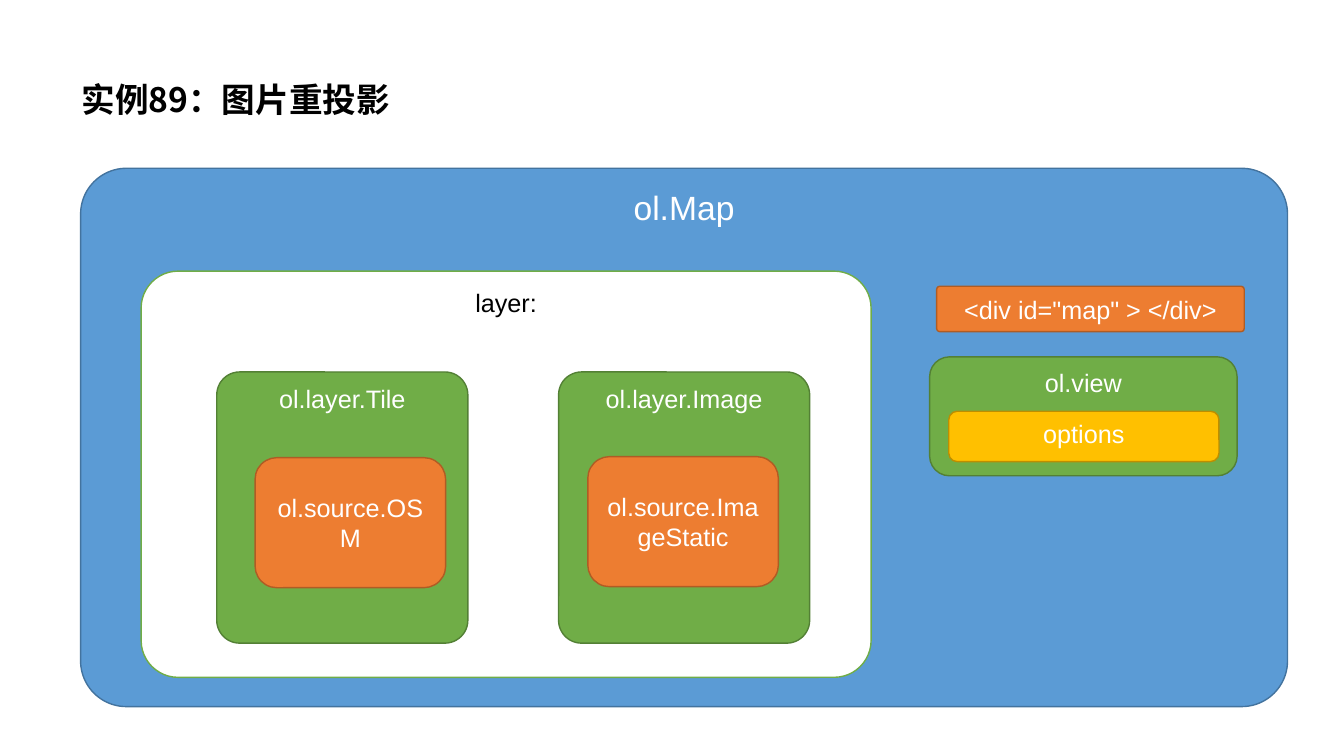
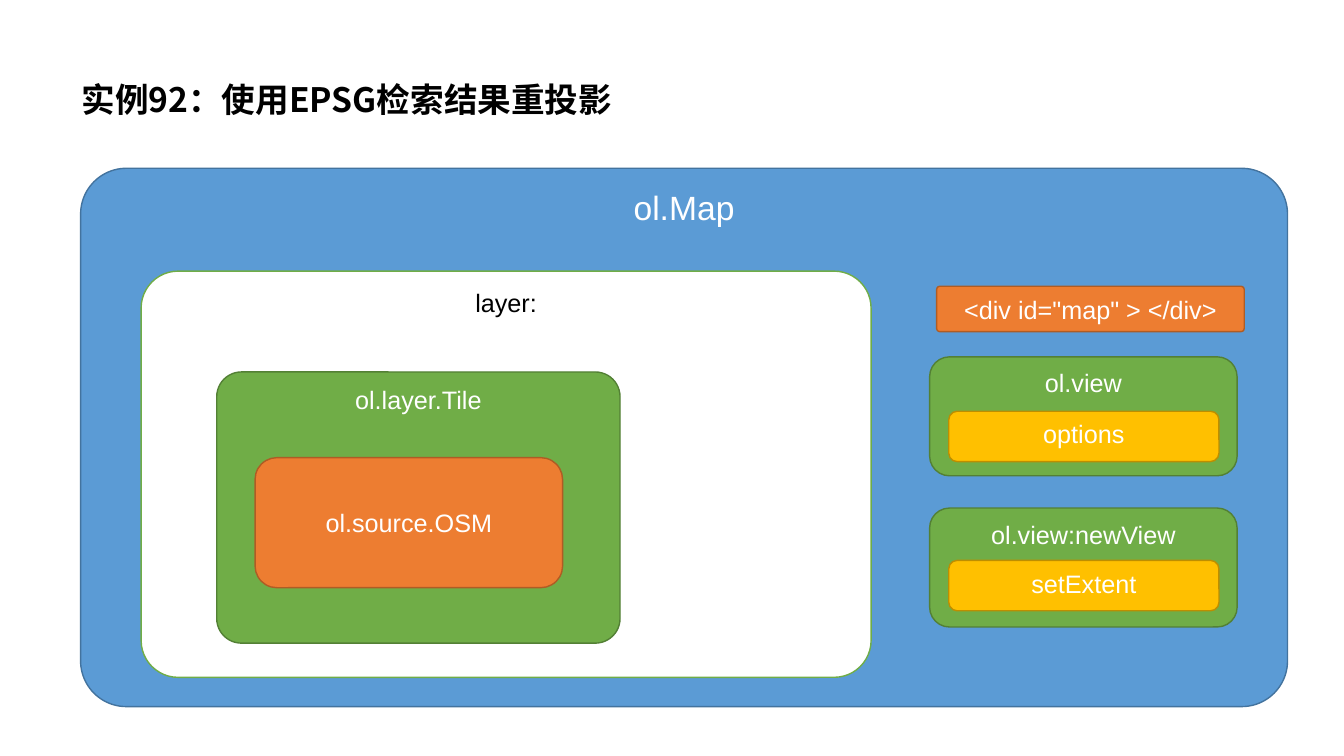
from pptx import Presentation
from pptx.dml.color import RGBColor
from pptx.enum import shapes, text
from pptx.oxml import ns
from pptx.util import Inches, Pt

WHITE = RGBColor(0xFF, 0xFF, 0xFF)
BLACK = RGBColor(0x00, 0x00, 0x00)
BLUE = RGBColor(0x5B, 0x9B, 0xD5)
DARK_BLUE = RGBColor(0x43, 0x73, 0x9E)
GREEN = RGBColor(0x70, 0xAD, 0x47)
DARK_GREEN = RGBColor(0x53, 0x80, 0x35)
ORANGE = RGBColor(0xED, 0x7D, 0x31)
DARK_ORANGE = RGBColor(0xAF, 0x5C, 0x24)
GOLD = RGBColor(0xFF, 0xC0, 0x00)
DARK_GOLD = RGBColor(0xBD, 0x8E, 0x00)

BODY_FONT = "Arial"
TITLE_FONT = "Noto Sans CJK SC"
TOP, MIDDLE = text.MSO_ANCHOR.TOP, text.MSO_ANCHOR.MIDDLE

# Box styles: fill, line, text colour, text size, anchor, corner rounding
MAP = (BLUE, DARK_BLUE, WHITE, 24, TOP, 0.085)
LAYERS = (WHITE, GREEN, BLACK, 18, TOP, 0.091)
LAYER = (GREEN, DARK_GREEN, WHITE, 18, TOP, 0.091)
SOURCE = (ORANGE, DARK_ORANGE, WHITE, 18, MIDDLE, 0.167)
DIV = (ORANGE, DARK_ORANGE, WHITE, 18, MIDDLE, 0.069)
VIEW = (GREEN, DARK_GREEN, WHITE, 18, TOP, 0.167)
OPTION = (GOLD, DARK_GOLD, WHITE, 18, TOP, 0.167)

# Per slide: title; layers (name, left, width) with their source
# (name, left, top, width); views (name, top, option, option top)
SLIDES = [
    (
        "实例89：图片重投影",
        [
            (("ol.layer.Tile", 2.15, 2.49), ("ol.source.OSM", 2.53, 4.54, 1.89)),
            (("ol.layer.Image", 5.54, 2.49), ("ol.source.ImageStatic", 5.83, 4.53, 1.89)),
        ],
        [("ol.view", 3.54, "options", 4.08)],
    ),
    (
        "实例92：使用EPSG检索结果重投影",
        [(("ol.layer.Tile", 2.15, 4), ("ol.source.OSM", 2.53, 4.54, 3.05))],
        [
            ("ol.view", 3.54, "options", 4.08),
            ("ol.view:newView", 5.04, "setExtent", 5.56),
        ],
    ),
]


def add_title(slide, title):
    box = slide.shapes.add_textbox(Inches(0.71), Inches(0.28), Inches(11.5), Inches(1.45))
    frame = box.text_frame
    frame.word_wrap = True
    frame.vertical_anchor = MIDDLE
    paragraph = frame.paragraphs[0]
    paragraph.line_spacing = 0.9
    run = paragraph.add_run()
    run.text = title
    run.font.name = TITLE_FONT
    run.font.size = Pt(24)
    run.font.bold = True
    run.font.color.rgb = BLACK
    # East Asian characters take their font from a:ea
    east_asian = run.font._element.makeelement(ns.qn("a:ea"), {"typeface": TITLE_FONT})
    run.font._element.find(ns.qn("a:latin")).addnext(east_asian)


def add_box(parent, label, left, top, width, height, style):
    fill, line, color, size, anchor, rounding = style
    shape = parent.shapes.add_shape(
        shapes.MSO_SHAPE.ROUNDED_RECTANGLE,
        Inches(left), Inches(top), Inches(width), Inches(height),
    )
    shape.adjustments[0] = rounding
    shape.shadow.inherit = False
    shape.fill.solid()
    shape.fill.fore_color.rgb = fill
    shape.line.color.rgb = line
    shape.line.width = Pt(1)
    frame = shape.text_frame
    frame.word_wrap = True
    frame.vertical_anchor = anchor
    paragraph = frame.paragraphs[0]
    paragraph.text = label
    paragraph.alignment = text.PP_ALIGN.CENTER
    paragraph.font.name = BODY_FONT
    paragraph.font.size = Pt(size)
    paragraph.font.color.rgb = color


presentation = Presentation()
presentation.slide_width = Inches(13.33)
presentation.slide_height = Inches(7.5)

for title, layers, views in SLIDES:
    slide = presentation.slides.add_slide(presentation.slide_layouts[6])
    add_title(slide, title)

    # Map and its page element
    add_box(slide, "ol.Map", 0.8, 1.67, 11.97, 5.34, MAP)
    add_box(slide, '<div id="map" > </div>', 9.29, 2.84, 3.05, 0.45, DIV)

    # Views, each grouped with its option
    for view, view_top, option, option_top in views:
        group = slide.shapes.add_group_shape()
        add_box(group, view, 9.22, view_top, 3.05, 1.18, VIEW)
        add_box(group, option, 9.41, option_top, 2.68, 0.5, OPTION)

    # Layers, each holding its source
    add_box(slide, "layer:", 1.4, 2.69, 7.24, 4.03, LAYERS)
    for (layer, left, width), (source, source_left, source_top, source_width) in layers:
        add_box(slide, layer, left, 3.69, width, 2.69, LAYER)
        add_box(slide, source, source_left, source_top, source_width, 1.29, SOURCE)

presentation.save("out.pptx")
